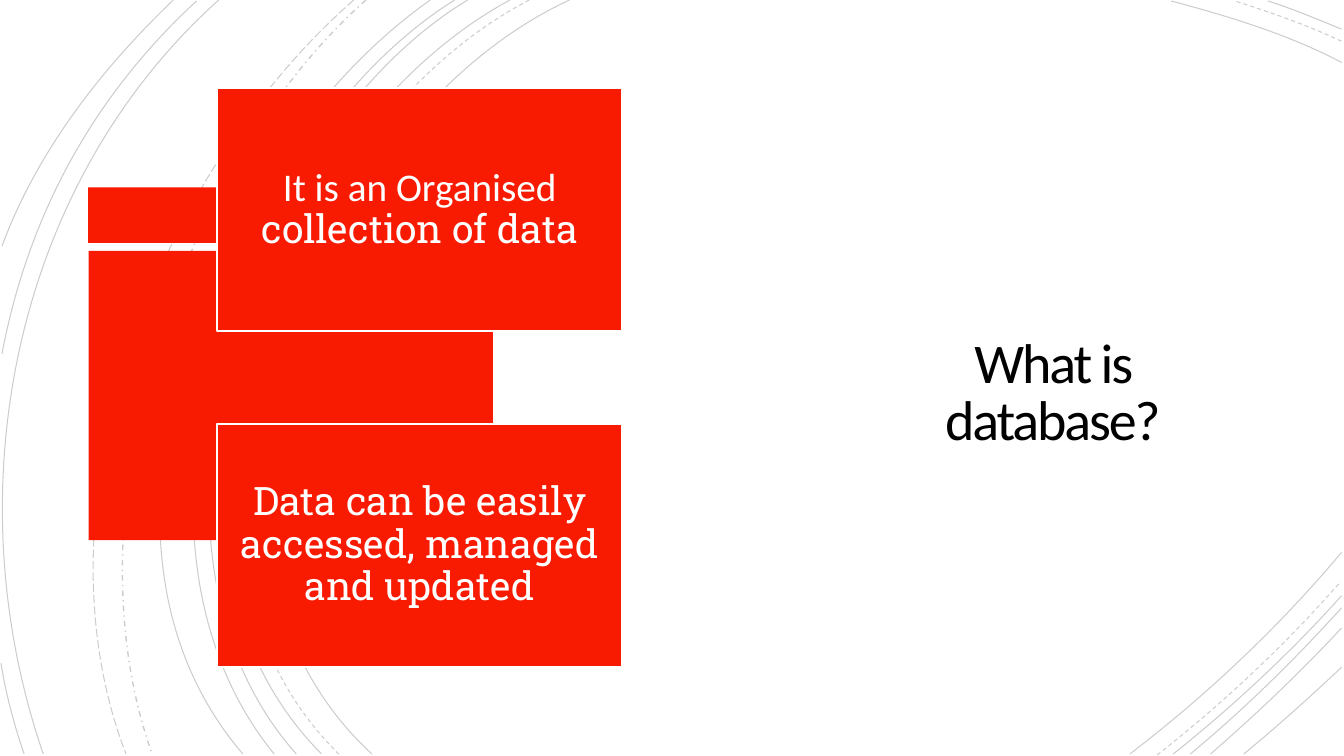
from lxml import etree
from pptx import Presentation
from pptx.dml.color import RGBColor
from pptx.enum.dml import MSO_LINE
from pptx.enum.shapes import MSO_SHAPE
from pptx.enum.text import MSO_ANCHOR, MSO_AUTO_SIZE, PP_ALIGN
from pptx.oxml.ns import qn
from pptx.util import Inches, Pt

RECT = MSO_SHAPE.RECTANGLE
SOLID, DASH = MSO_LINE.SOLID, MSO_LINE.DASH
DOTS, LONG = MSO_LINE.DASH_DOT, MSO_LINE.LONG_DASH
MIDDLE, CENTER, FIXED = MSO_ANCHOR.MIDDLE, PP_ALIGN.CENTER, MSO_AUTO_SIZE.NONE

# The grid has 1333.33 columns and 750 rows.
CELL = Inches(0.01)
COLS, ROWS = 1333.33, 750
RED, WHITE, BLACK = "F81B02", "FFFFFF", "000000"
SANS, SLAB = "Calibri", "Roboto Slab"

# Each arc: start, two control points, end, as column and row pairs.
ARCS = {
    (SOLID, 0.75): [
        (565, 0, 315, 115, 143, 540, 369, 748),
        (506, 0, 270, 127, 110, 537, 319, 748),
        (464, 0, 244, 133, 110, 541, 294, 748),
        (451, 0, 231, 138, 97, 533, 272, 748),
        (427, 0, 217, 147, 53, 529, 241, 748),
        (217, 0, 11, 185, -46, 490, 43, 748),
        (195, 1, 92, 96, 28, 214, 2, 351),
        (172, 0, 100, 69, 37, 150, 2, 244),
        (1, 658, 6, 689, 14, 719, 24, 748),
        (1331, 62, 1278, 34, 1218, 16, 1162, 1),
        (1331, 29, 1307, 19, 1283, 9, 1258, 1),
        (1121, 748, 1197, 690, 1269, 622, 1331, 548),
        (1164, 748, 1223, 701, 1280, 648, 1331, 591),
        (1181, 748, 1234, 704, 1284, 655, 1331, 603),
        (1201, 748, 1246, 709, 1290, 667, 1331, 623),
        (1234, 748, 1267, 721, 1299, 692, 1331, 662),
    ],
    (DASH, 0.75): [
        (525, 0, 285, 125, 123, 537, 336, 748),
        (1331, 41, 1297, 25, 1260, 12, 1225, 1),
        (1148, 749, 1213, 698, 1275, 640, 1330, 577),
    ],
    (DOTS, 1): [(363, 0, 176, 166, 65, 509, 151, 748)],
    (LONG, 0.75): [(351, 0, 157, 169, 29, 499, 125, 748)],
}


def tint(code):
    return RGBColor.from_string(code)


def span(*cells):
    """Turn grid cells into whole EMU."""
    return [round(cell * CELL) for cell in cells]


def assign(item, values):
    for name, value in values.items():
        setattr(item, name, value)


class Board:
    frame = {"vertical_anchor": MIDDLE, "word_wrap": True, "auto_size": FIXED}

    def __init__(self, deck):
        self.slide = deck.slides.add_slide(deck.slide_layouts[5])
        self.shapes = self.slide.shapes

    def fill(self, shape, text, pad, lead):
        """Write runs of (text, font name, size, colour) in one paragraph."""
        frame = shape.text_frame
        assign(frame, self.frame)
        sides = ("margin_left", "margin_top", "margin_right", "margin_bottom")
        assign(frame, dict(zip(sides, span(*pad))))
        line = frame.paragraphs[0]
        assign(line, {"alignment": CENTER, "line_spacing": lead})
        for words, face, size, color in text:
            run = line.add_run()
            run.text = words
            assign(run.font, {"name": face, "size": Pt(size), "bold": False})
            run.font.color.rgb = tint(color)
        return line

    def title(self, box, words):
        shape = self.shapes.title
        assign(shape, dict(zip(("left", "top", "width", "height"), span(*box))))
        line = self.fill(shape, [(words, SANS, 40, BLACK)], [25] * 4, 0.85)
        line.runs[0].font._element.set("spc", "-150")

    def trace(self, cells, color, width, dash=SOLID):
        """Draw an open outline through pairs of grid cells."""
        spots = span(*cells)
        first, *rest = zip(spots[::2], spots[1::2])
        pen = self.shapes.build_freeform(*first, scale=1.0)
        pen.add_line_segments(rest, close=False)
        shape = pen.convert_to_shape()
        shape.shadow.inherit = False
        shape.fill.background()
        assign(shape.line, {"width": Pt(width), "dash_style": dash})
        shape.line.color.rgb = tint(color)
        return shape

    def arc(self, cells, dash, width):
        tree = self.trace(cells, BLACK, width, dash)._element.spPr
        legs = list(tree.iter(qn("a:lnTo")))
        curve = etree.SubElement(legs[0].getparent(), qn("a:cubicBezTo"))
        for leg in legs:
            curve.append(leg[0])
            leg.getparent().remove(leg)
        color = tree.find(".//" + qn("a:srgbClr"))
        etree.SubElement(color, qn("a:alpha"), val="20000")

    def arrow(self, *ends):
        line = self.trace(ends, RED, 0.75).line
        etree.SubElement(line._get_or_add_ln(), qn("a:tailEnd"), type="arrow")

    def block(self, box, edge=None):
        shape = self.shapes.add_shape(RECT, *span(*box))
        shape.shadow.inherit = False
        shape.fill.solid()
        shape.fill.fore_color.rgb = tint(RED)
        if edge:
            shape.line.color.rgb = tint(edge)
            shape.line.width = Pt(1.25)
        else:
            shape.line.fill.background()
        return shape

    def card(self, box, text):
        runs = [(words, face, 28, WHITE) for words, face in text]
        self.fill(self.block(box, WHITE), runs, (20, 21, 20, 21), 0.9)


def main():
    deck = Presentation()
    deck.slide_width, deck.slide_height = span(COLS, ROWS)
    board = Board(deck)
    for (dash, width), arcs in ARCS.items():
        for arc in arcs:
            board.arc(arc, dash, width)
    board.block((87.5, 186, 402, 55))
    board.block((88, 249, 401, 287))
    board.title((853, 257, 383, 269), "What is database?")
    board.arrow(416, 328, 416, 417)
    cards = [
        [("It is an Organised", SANS), (" collection of data", SLAB)],
        [("Data can be easily accessed, managed and updated", SLAB)],
    ]
    for row, text in enumerate(cards):
        board.card((215.5, 87.5 + 333.3 * row, 401.6, 241), text)
    deck.save("out.pptx")


if __name__ == "__main__":
    main()
